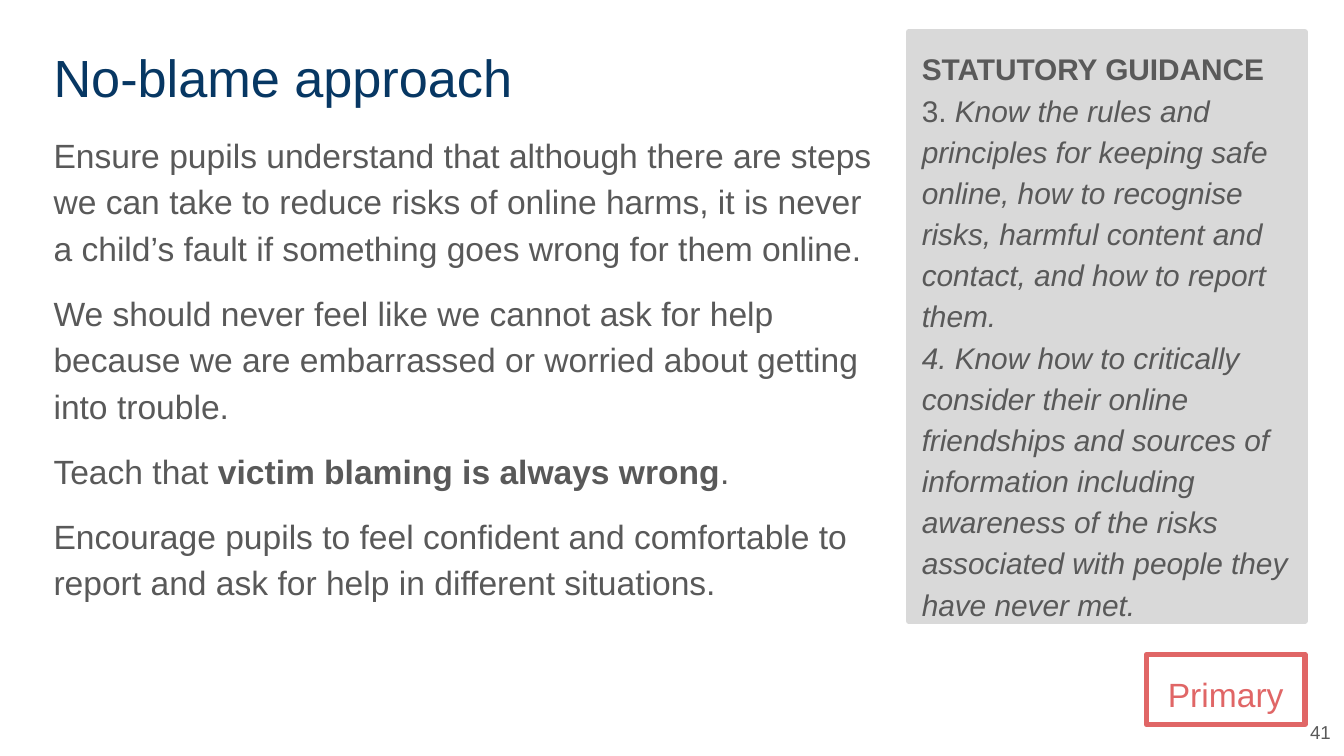
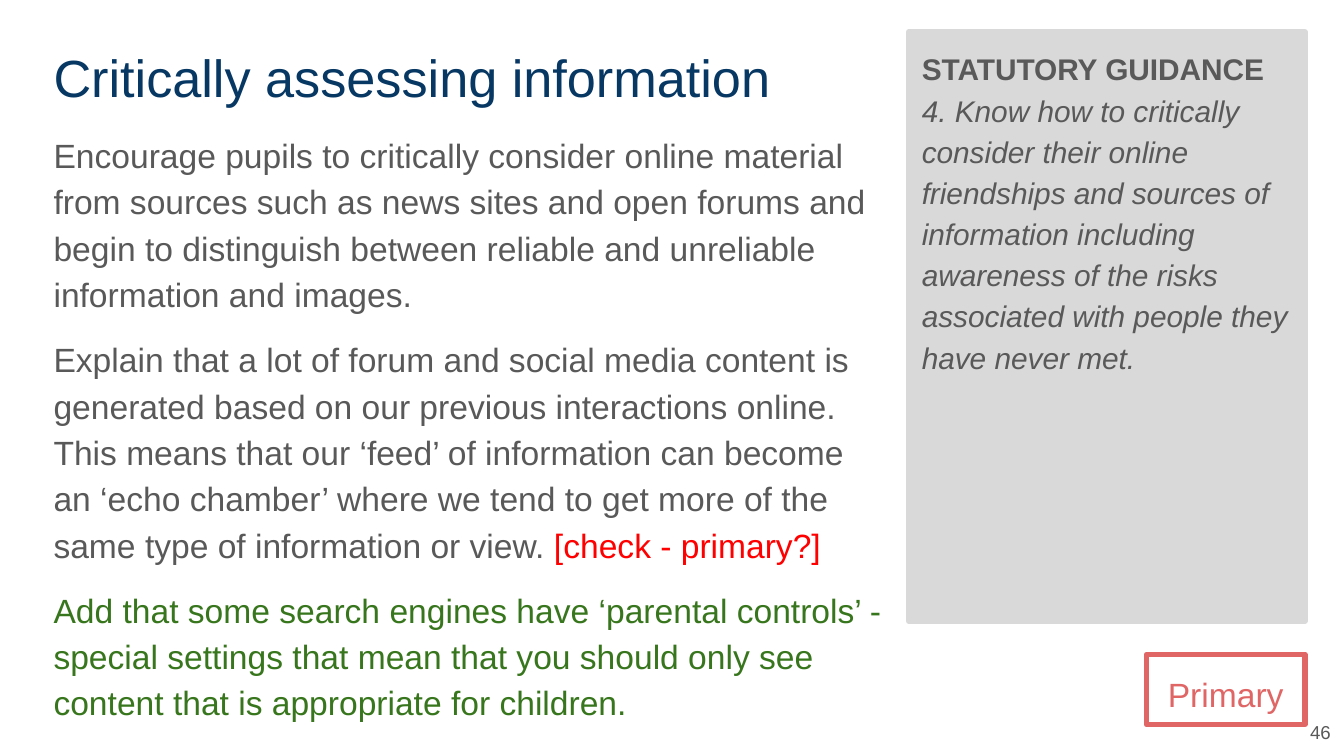
from pptx import Presentation
from pptx.dml.color import RGBColor as RGB
from pptx.enum.shapes import MSO_SHAPE as SHAPE
from pptx.enum.text import MSO_ANCHOR as ANCHOR, PP_ALIGN as ALIGN
from pptx.util import Inches, Pt
from lxml import etree

COLORS = {"title": "073763", "text": "595959", "panel": "D9D9D9",
          "primary": "E06666", "check": "FF0000", "addition": "38761D"}
FONT = "Arial"
A = "{http://schemas.openxmlformats.org/drawingml/2006/main}"


def write(shape, paragraphs, size=18, color="text", align=ALIGN.LEFT,
          anchor=ANCHOR.TOP, spacing=1.15, before=10):
    """Fill a shape; each paragraph is a list of (text, format) runs."""
    tf = shape.text_frame
    tf.word_wrap = True
    tf.vertical_anchor = anchor
    tf.margin_left = tf.margin_right = Inches(0.1)
    tf.margin_top = tf.margin_bottom = Inches(0.1)
    for i, runs in enumerate(paragraphs):
        p = tf.add_paragraph() if i else tf.paragraphs[0]
        p.alignment = align
        p.line_spacing = spacing
        p.space_before = Pt(before if i else 0)
        for text, fmt in runs:
            for j, line in enumerate(text.split("\n")):
                if j:
                    p.add_line_break()
                if not line:
                    continue
                r = p.add_run()
                r.text = line
                r.font.name = FONT
                r.font.size = Pt(size)
                r.font.bold = fmt.get("bold", False)
                r.font.italic = fmt.get("italic", False)
                r.font.color.rgb = RGB.from_string(COLORS[fmt.get("color", color)])
        # Line breaks take the size of the text around them
        for br in p._p.findall(A + "br"):
            etree.SubElement(br, A + "rPr", sz=str(size * 100))


def add_box(s, left, top, width, height, line, fill=None):
    """Add a rectangle with a thick, round-cornered outline."""
    sp = s.shapes.add_shape(SHAPE.RECTANGLE, Inches(left), Inches(top),
                            Inches(width), Inches(height))
    sp.shadow.inherit = False
    if fill:
        sp.fill.solid()
        sp.fill.fore_color.rgb = RGB.from_string(COLORS[fill])
    else:
        sp.fill.background()
    sp.line.color.rgb = RGB.from_string(COLORS[line])
    sp.line.width = Pt(3)
    etree.SubElement(sp.line._ln, A + "round")
    return sp


# Content
ITALIC = {"italic": True}
RULES = ("Know the rules and principles for keeping safe online, how to recognise "
         "risks, harmful content and contact, and how to report them. \n")
CRITICAL = ("4. Know how to critically consider their online friendships and sources "
            "of information including awareness of the risks associated with people "
            "they have never met.")

SLIDES = [
    {
        "title": "No-blame approach",
        "number": "41",
        "body": [
            [("Ensure pupils understand that although there are steps we can take to "
              "reduce risks of online harms, it is never a child’s fault if something "
              "goes wrong for them online.", {})],
            [("We should never feel like we cannot ask for help because we are "
              "embarrassed or worried about getting into trouble.", {})],
            [("Teach that ", {}),
             ("victim blaming is always wrong", {"bold": True}), (".", {})],
            [("Encourage pupils to feel confident and comfortable to report and ask "
              "for help in different situations.", {})],
        ],
        "guidance": [("3. ", {}), (RULES + CRITICAL, ITALIC)],
    },
    {
        "title": "Critically assessing information",
        "number": "46",
        "body": [
            [("Encourage pupils to critically consider online material from sources "
              "such as news sites and open forums and begin to distinguish between "
              "reliable and unreliable information and images.", {})],
            [("Explain that a lot of forum and social media content is generated based "
              "on our previous interactions online. This means that our ‘feed’ of "
              "information can become an ‘echo chamber’ where we tend to get more of "
              "the same type of information or view.", {}),
             (" [check - primary?]", {"color": "check"})],
            [("Add that some search engines have ‘parental controls’ - special settings "
              "that mean that you should only see content that is appropriate for "
              "children.", {"color": "addition"})],
        ],
        "guidance": [(CRITICAL, ITALIC)],
    },
]

# Widescreen page, 16:9
prs = Presentation()
prs.slide_width = Inches(10)
prs.slide_height = Inches(10 * 9 / 16)

for content in SLIDES:
    s = prs.slides.add_slide(prs.slide_layouts[6])

    # Title and body
    title = s.shapes.add_textbox(Inches(0.3), Inches(0.24), Inches(6.41), Inches(0.63))
    write(title, [[(content["title"], {})]], size=28, color="title", spacing=1.0)
    body = s.shapes.add_textbox(Inches(0.3), Inches(0.86), Inches(6.41), Inches(4.01))
    write(body, content["body"])

    # Page number
    number = s.shapes.add_textbox(Inches(9.61), Inches(5.26), Inches(0.39), Inches(0.37))
    write(number, [[(content["number"], {})]], size=10, align=ALIGN.RIGHT,
          anchor=ANCHOR.MIDDLE, spacing=1.0)

    # Statutory guidance panel
    panel = add_box(s, 6.76, 0.24, 2.95, 4.38, line="panel", fill="panel")
    heading = ("STATUTORY GUIDANCE\n", {"bold": True})
    write(panel, [[heading] + content["guidance"]], size=16)

    # School phase tag
    tag = add_box(s, 8.53, 4.87, 1.18, 0.52, line="primary")
    write(tag, [[("Primary", {})]], color="primary", align=ALIGN.CENTER)

prs.save("out.pptx")
